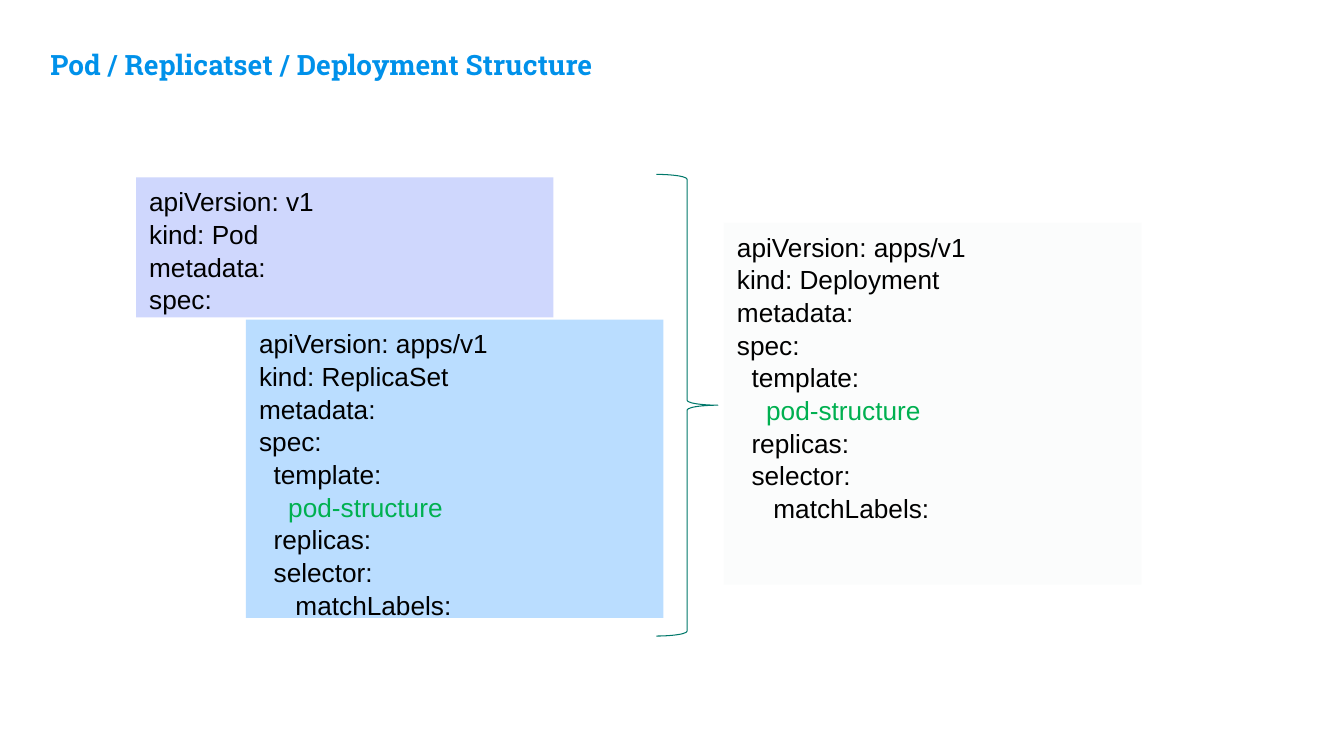
import dataclasses

import pptx
import pptx.dml.color
import pptx.enum.shapes
import pptx.enum.text
import pptx.util

PX = 9144
SPACE_WIDTH = 0.0722


@dataclasses.dataclass(frozen=True)
class Theme:
    """Hold the colours, fonts and type sizes of the slide."""

    title_font: str = "Roboto Slab"
    code_font: str = "Arial"
    title_size: float = 20
    code_size: float = 18.7
    code_spacing: float = 1.04
    brace_width: float = 0.75
    title: str = "0091EA"
    code: str = "000000"
    highlight: str = "00B050"
    pod: str = "CFD7FD"
    replica_set: str = "BADDFF"
    deployment: str = "FBFCFC"
    brace: str = "00786A"


THEME = Theme()
HIGHLIGHTED = "pod-structure"
POD = ["apiVersion: v1", "kind: Pod", "metadata:", "spec:"]


def controller_lines(kind):
    """Return the manifest lines of a controller that wraps a pod."""
    return [
        "apiVersion: apps/v1",
        f"kind: {kind}",
        "metadata:",
        "spec:",
        "  template:",
        f"    {HIGHLIGHTED}",
        "  replicas:",
        "  selector:",
        "     matchLabels:",
    ]


def px(*lengths):
    """Turn pixel lengths into EMU."""
    return [pptx.util.Emu(length * PX) for length in lengths]


def rgb(colour):
    """Turn a hex string into a colour."""
    return pptx.dml.color.RGBColor.from_string(colour)


def style_font(font, name, size, colour, bold=False):
    """Set the look of one font."""
    font.name = name
    font.size = pptx.util.Pt(size)
    font.color.rgb = rgb(colour)
    font.bold = bold


def set_frame(frame, horizontal, vertical):
    """Wrap a text frame, anchor it at the top and set its insets."""
    frame.word_wrap = True
    frame.auto_size = pptx.enum.text.MSO_AUTO_SIZE.NONE
    frame.vertical_anchor = pptx.enum.text.MSO_ANCHOR.TOP
    frame.margin_left, frame.margin_right = px(horizontal, horizontal)
    frame.margin_top, frame.margin_bottom = px(vertical, vertical)


def set_title(page, text, place):
    """Fill and place the title placeholder."""
    title = page.shapes.title
    title.left, title.top, title.width, title.height = px(*place)
    set_frame(title.text_frame, 13, 13)
    title.text_frame.text = text
    para = title.text_frame.paragraphs[0]
    para.alignment = pptx.enum.text.PP_ALIGN.LEFT
    style_font(para.runs[0].font, THEME.title_font, THEME.title_size, THEME.title, True)


def add_manifest(page, lines, place, fill):
    """Add a filled box that lists the lines of a manifest."""
    box = page.shapes.add_shape(pptx.enum.shapes.MSO_SHAPE.RECTANGLE, *px(*place))
    box.shadow.inherit = False
    box.fill.solid()
    box.fill.fore_color.rgb = rgb(fill)
    box.line.fill.background()
    frame = box.text_frame
    set_frame(frame, 13, 7)
    frame.text = "\n".join(line.strip() for line in lines)
    for para, line in zip(frame.paragraphs, lines):
        depth = len(line) - len(line.lstrip())
        indent = pptx.util.Inches(depth * SPACE_WIDTH)
        para._p.get_or_add_pPr().set("marL", str(indent))
        para.alignment = pptx.enum.text.PP_ALIGN.LEFT
        para.line_spacing = THEME.code_spacing
        colour = THEME.highlight if para.text == HIGHLIGHTED else THEME.code
        style_font(para.runs[0].font, THEME.code_font, THEME.code_size, colour)


def add_brace(page, place):
    """Add an outlined right brace."""
    brace = page.shapes.add_shape(pptx.enum.shapes.MSO_SHAPE.RIGHT_BRACE, *px(*place))
    brace.shadow.inherit = False
    brace.adjustments[0] = 0.08
    brace.adjustments[1] = 0.5
    brace.fill.background()
    brace.line.color.rgb = rgb(THEME.brace)
    brace.line.width = pptx.util.Pt(THEME.brace_width)


def main():
    """Build the slide and save it."""
    deck = pptx.Presentation()
    deck.slide_width, deck.slide_height = px(1333, 750)
    page = deck.slides.add_slide(deck.slide_layouts.get_by_name("Title Only"))
    set_title(page, "Pod / Replicatset / Deployment Structure", (37, 34, 1094, 139))
    add_manifest(page, POD, (135, 176, 414, 139), THEME.pod)
    add_manifest(
        page, controller_lines("ReplicaSet"), (244, 317, 414, 296), THEME.replica_set
    )
    add_manifest(
        page, controller_lines("Deployment"), (718, 221, 414, 359), THEME.deployment
    )
    add_brace(page, (651, 173, 61, 458))
    deck.save("out.pptx")


if __name__ == "__main__":
    main()
